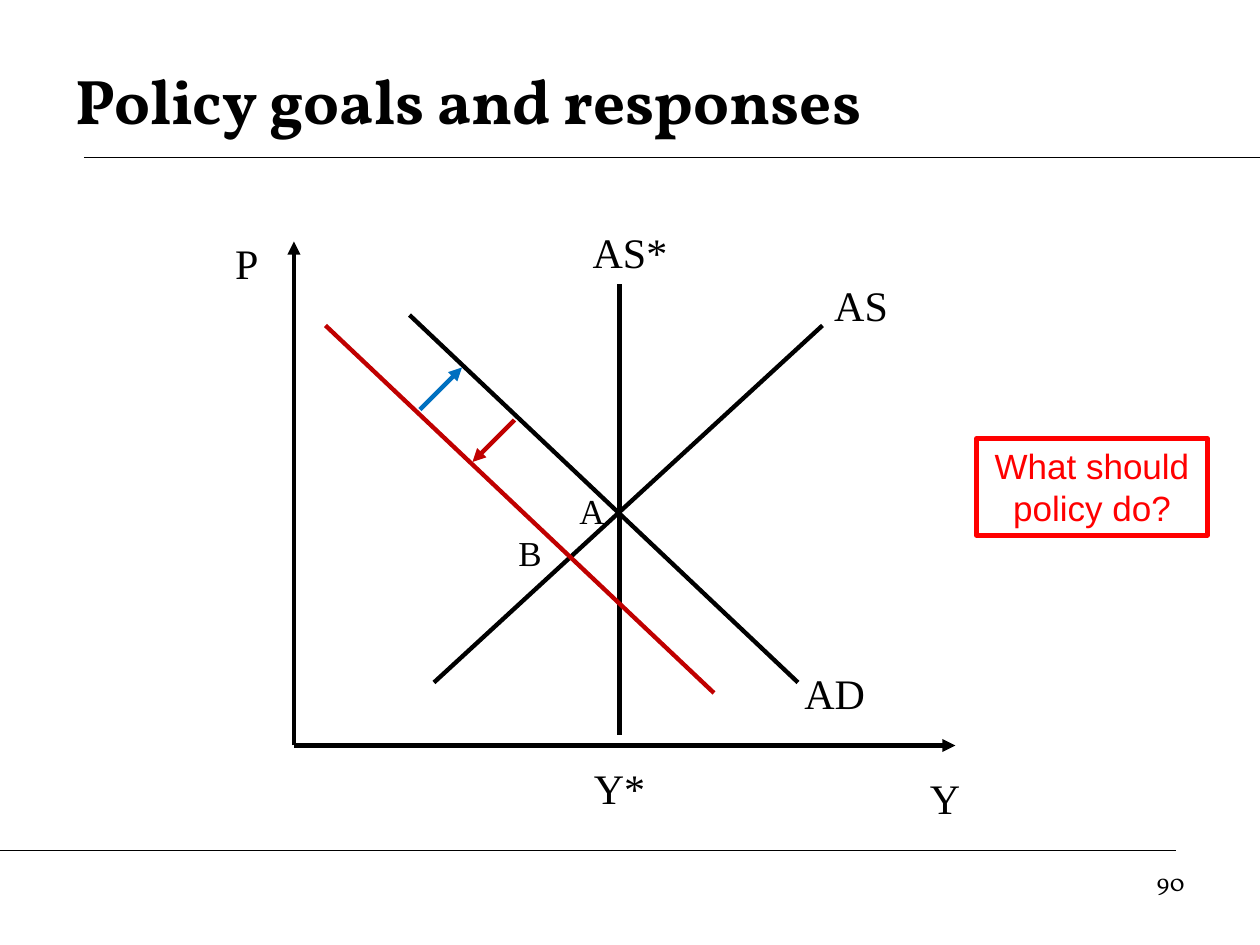
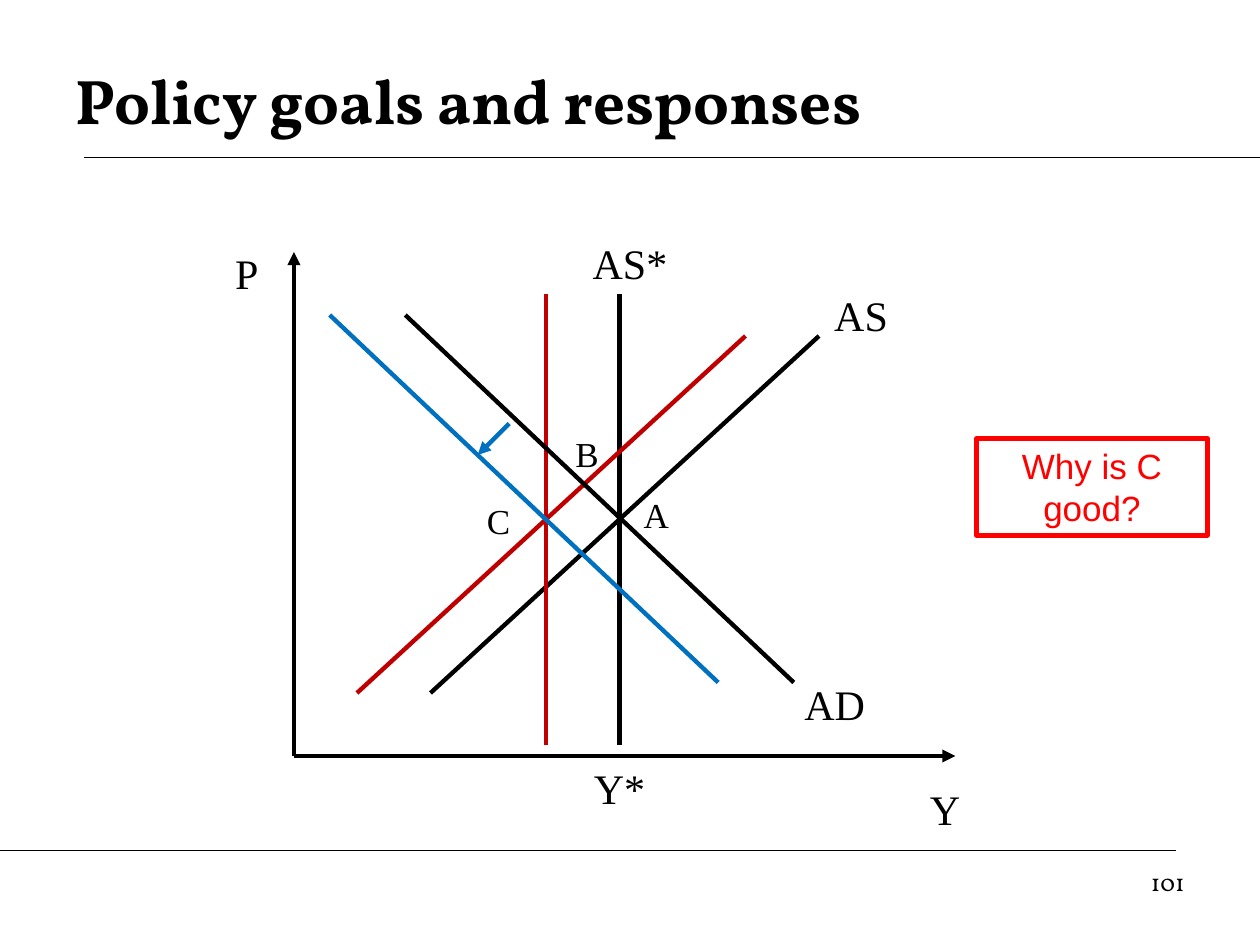
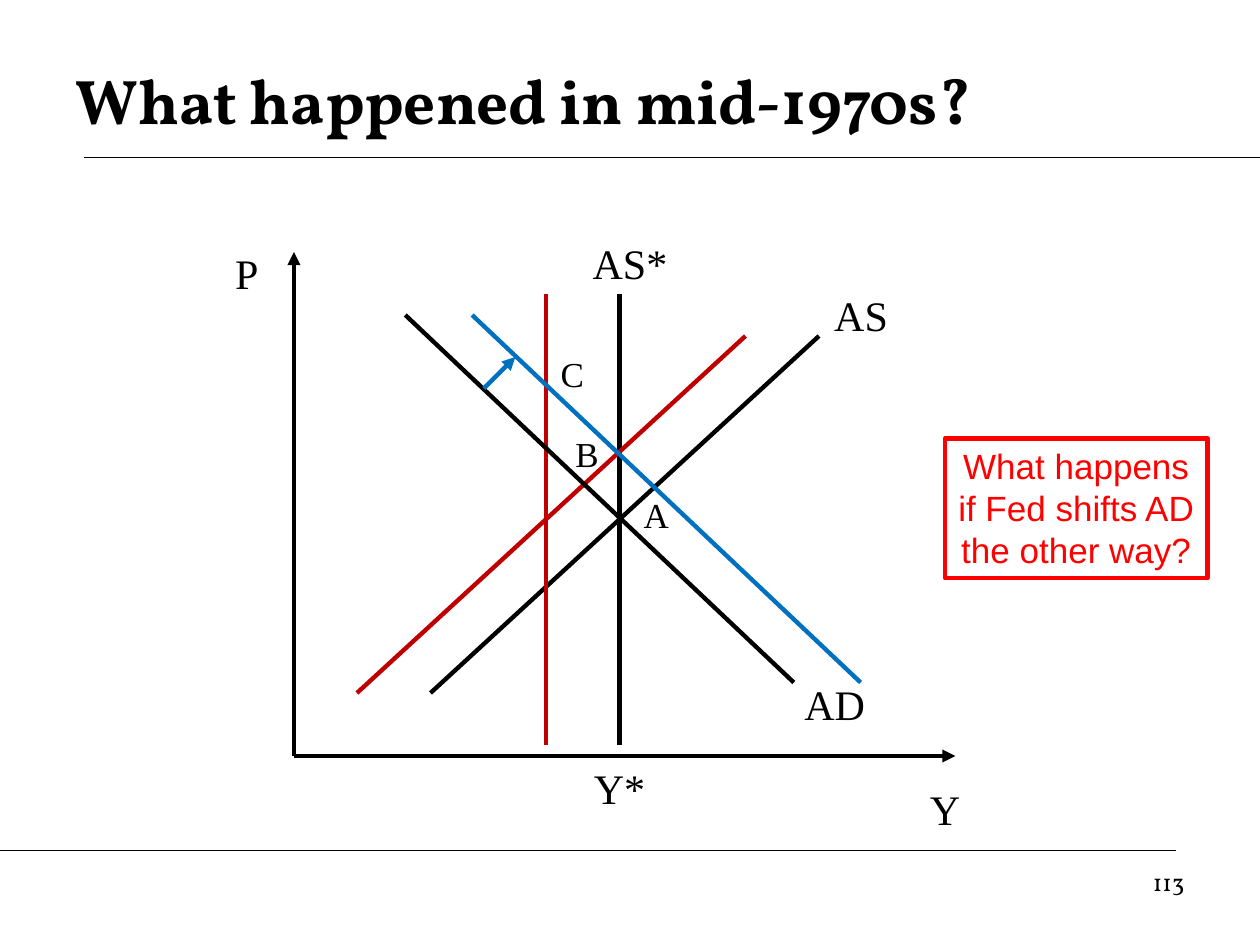
from lxml import etree
from pptx import Presentation
from pptx.dml.color import RGBColor
from pptx.enum.shapes import MSO_CONNECTOR, MSO_SHAPE
from pptx.enum.text import MSO_ANCHOR, MSO_AUTO_SIZE, PP_ALIGN
from pptx.oxml.ns import qn
from pptx.util import Pt

STRAIGHT = MSO_CONNECTOR.STRAIGHT
RECT = MSO_SHAPE.RECTANGLE
TOP, MIDDLE = MSO_ANCHOR.TOP, MSO_ANCHOR.MIDDLE
LEFT, CENTER, RIGHT = PP_ALIGN.LEFT, PP_ALIGN.CENTER, PP_ALIGN.RIGHT
NO_FIT, GROW = MSO_AUTO_SIZE.NONE, MSO_AUTO_SIZE.SHAPE_TO_FIT_TEXT

BLACK, DARK_RED, RED, BLUE = "000000", "C00000", "FF0000", "0070C0"

# Text styles: font attributes, colour, alignment, anchor, fit
TITLE = ({"name": "Vollkorn", "size": Pt(36), "bold": True}, BLACK, LEFT, MIDDLE, NO_FIT)
NUMBER = ({"name": "Vollkorn", "size": Pt(14)}, BLACK, RIGHT, TOP, NO_FIT)
AXIS_LABEL = ({"name": "Times New Roman", "size": Pt(24)}, BLACK, CENTER, TOP, GROW)
POINT_LABEL = ({"name": "Times New Roman", "size": Pt(20)}, BLACK, CENTER, TOP, GROW)
QUESTION = ({"name": "Arial", "size": Pt(20)}, RED, CENTER, TOP, GROW)


def write(sp, text, style):
    font, color, align, anchor, fit = style
    tf = sp.text_frame
    tf.word_wrap = True
    tf.auto_size = fit
    tf.vertical_anchor = anchor
    p = tf.paragraphs[0]
    p.alignment = align
    r = p.add_run()
    r.text = text
    for name, value in font.items():
        setattr(r.font, name, value)
    r.font.color.rgb = RGBColor.from_string(color)


def add_line(s, x1, y1, x2, y2, color=BLACK, width=2.5, arrow=False):
    c = s.shapes.add_connector(STRAIGHT, Pt(x1), Pt(y1), Pt(x2), Pt(y2))
    c.line.color.rgb = RGBColor.from_string(color)
    c.line.width = Pt(width)
    if arrow:
        etree.SubElement(c.line._get_or_add_ln(), qn("a:tailEnd"), type="triangle")
    etree.SubElement(c._element.spPr, qn("a:effectLst"))


# drop moves the axes and AS curves down; as_x and ad_x are the lower curve ends.
# Shifted curves: as_shift moves AS and AS*, ad_shift is dx, dy and colour for AD.
slides = [
    {"title": "Policy goals and responses", "number": "90",
     "drop": 0, "as_x": 248, "ad_x": 456,
     "as_shift": None, "ad_shift": (-48, 6, DARK_RED),
     "arrows": [(294, 240, 270, 264, DARK_RED), (240, 234, 264, 210, BLUE)],
     "points": [("A", 324, 276, 24), ("B", 282, 300, 42)],
     "question": ("What should policy do?", 132, 55.5)},
    {"title": "Policy goals and responses", "number": "101",
     "drop": 6, "as_x": 246, "ad_x": 453.6,
     "as_shift": -42, "ad_shift": (-43.2, 0, BLUE),
     "arrows": [(291, 242, 273, 260, BLUE)],
     "points": [("A", 354, 278.5, 42), ("B", 314.5, 243.5, 42), ("C", 264, 282, 42)],
     "question": ("Why is C good?", 132, 55.5)},
    {"title": "What happened in mid-1970s?", "number": "113",
     "drop": 6, "as_x": 246, "ad_x": 453.6,
     "as_shift": -42, "ad_shift": (38.2, 0, BLUE),
     "arrows": [(276.5, 222, 294.5, 204, BLUE)],
     "points": [("A", 354, 278.5, 42), ("B", 314.5, 243.5, 42), ("C", 306, 198, 42)],
     "question": ("What happens if Fed shifts AD the other way?", 150, 80)},
]

prs = Presentation()
prs.slide_width, prs.slide_height = Pt(720), Pt(540)

for d in slides:
    s = prs.slides.add_slide(prs.slide_layouts[5])
    drop = d["drop"]

    # Title, rules and slide number
    sp = s.shapes.title
    sp.left, sp.top, sp.width, sp.height = Pt(36), Pt(24), Pt(648), Pt(66)
    write(sp, d["title"], TITLE)
    add_line(s, 48, 90, 720, 90, width=0.75)
    add_line(s, 0, 486, 672, 486, width=0.75)
    sp = s.shapes.add_textbox(Pt(516), Pt(492), Pt(168), Pt(37.5))
    write(sp, d["number"], NUMBER)

    # Axes
    origin = 426 + drop
    add_line(s, 168, origin, 546, origin, arrow=True)
    add_line(s, 168, origin, 168, origin - 288, arrow=True)

    # Supply curves, with their shifted copies
    shifts = [(0, BLACK)]
    if d["as_shift"]:
        shifts.append((d["as_shift"], DARK_RED))
    for dx, color in shifts:
        x = d["as_x"] + dx
        add_line(s, 354 + dx, 420 + drop, 354 + dx, 162 + drop, color)
        add_line(s, x, 390 + drop, x + 222, 186 + drop, color)

    # Demand curve, its shifted copy and the shift arrows
    for dx, dy, color in [(0, 0, BLACK), d["ad_shift"]]:
        x = d["ad_x"] + dx
        add_line(s, x, 390 + dy, x - 222, 180 + dy, color)
    for x1, y1, x2, y2, color in d["arrows"]:
        add_line(s, x1, y1, x2, y2, color, arrow=True)

    # Curve, axis and point labels
    labels = [("Y", 516, 438 + drop, 48), ("P", 120, 132 + drop, 42),
              ("AS*", 318, 126 + drop, 84), ("AS", 468, 156 + drop, 48),
              ("AD", 444, 378 + drop, 66), ("Y*", 330, 432, 48)]
    for group, style, height in [(labels, AXIS_LABEL, 36), (d["points"], POINT_LABEL, 31)]:
        for text, x, y, width in group:
            sp = s.shapes.add_textbox(Pt(x), Pt(y), Pt(width), Pt(height))
            write(sp, text, style)

    # Question box, aligned to a common right edge
    text, width, height = d["question"]
    sp = s.shapes.add_shape(RECT, Pt(690 - width), Pt(250.5), Pt(width), Pt(height))
    sp.shadow.inherit = False
    sp.fill.background()
    sp.line.color.rgb = RGBColor.from_string(RED)
    sp.line.width = Pt(2.5)
    write(sp, text, QUESTION)

prs.save("out.pptx")
